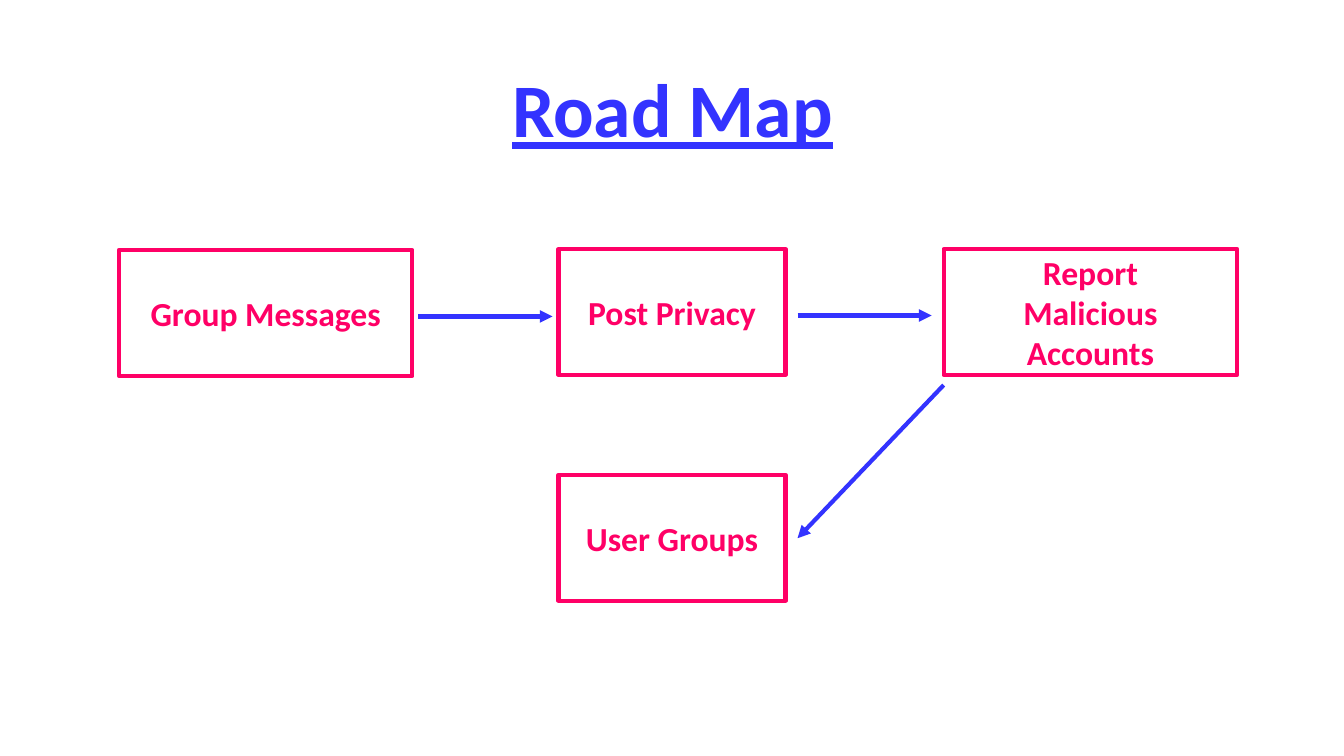
from lxml import etree
from pptx import Presentation
from pptx.dml.color import RGBColor
from pptx.enum.shapes import MSO_CONNECTOR, MSO_SHAPE
from pptx.enum.text import MSO_ANCHOR, PP_ALIGN
from pptx.oxml.ns import qn
from pptx.util import Inches, Pt

RECT = MSO_SHAPE.RECTANGLE
STRAIGHT = MSO_CONNECTOR.STRAIGHT
MIDDLE = MSO_ANCHOR.MIDDLE
CENTER = PP_ALIGN.CENTER

COLORS = {"blue": "3333FF", "pink": "FF0066", "white": "FFFFFF"}

TITLE = "Road Map"
TITLE_BOX = (0.92, 0.4, 11.5, 1.45)
TITLE_FORMAT = {"name": "Calibri", "size": Pt(54), "bold": True, "underline": True}
STEP_FORMAT = {"name": "Calibri", "size": Pt(24), "bold": True}

STEP_HEIGHT = 1.25
LINE_WIDTH = Pt(3)
# paragraphs, left, top, width
STEPS = [
    (["Group Messages"], 1.18, 2.48, 2.91),
    (["Post Privacy"], 5.54, 2.47, 2.25),
    (["Report", "Malicious\vAccounts"], 9.36, 2.47, 2.91),
    (["User Groups"], 5.54, 4.71, 2.25),
]
# start x, start y, end x, end y
ARROWS = [
    (4.15, 3.14, 5.48, 3.14),
    (7.91, 3.13, 9.24, 3.13),
    (9.36, 3.82, 7.91, 5.34),
]


def rgb(name):
    return RGBColor.from_string(COLORS[name])


def write(tf, lines, font_format, color, spacing=None):
    tf.word_wrap = True
    tf.vertical_anchor = MIDDLE
    for i, line in enumerate(lines):
        p = tf.paragraphs[0] if i == 0 else tf.add_paragraph()
        p.text = line
        p.alignment = CENTER
        p.line_spacing = spacing
        for r in p.runs:
            for key, value in font_format.items():
                setattr(r.font, key, value)
            r.font.color.rgb = rgb(color)


def add_step(s, lines, left, top, width):
    sp = s.shapes.add_shape(RECT, *map(Inches, (left, top, width, STEP_HEIGHT)))
    sp.shadow.inherit = False
    sp.fill.solid()
    sp.fill.fore_color.rgb = rgb("white")
    sp.line.color.rgb = rgb("pink")
    sp.line.width = LINE_WIDTH
    write(sp.text_frame, lines, STEP_FORMAT, "pink")


def add_arrow(s, points):
    arrow = s.shapes.add_connector(STRAIGHT, *map(Inches, points))
    arrow.line.color.rgb = rgb("blue")
    arrow.line.width = LINE_WIDTH
    etree.SubElement(arrow.line._get_or_add_ln(), qn("a:tailEnd"), type="triangle")
    etree.SubElement(arrow._element.spPr, qn("a:effectLst"))


def main():
    prs = Presentation()
    prs.slide_width, prs.slide_height = Inches(13.33), Inches(7.5)
    s = prs.slides.add_slide(prs.slide_layouts[6])
    title = s.shapes.add_textbox(*map(Inches, TITLE_BOX))
    write(title.text_frame, [TITLE], TITLE_FORMAT, "blue", 0.9)
    for step in STEPS:
        add_step(s, *step)
    for points in ARROWS:
        add_arrow(s, points)
    prs.save("out.pptx")


if __name__ == "__main__":
    main()
